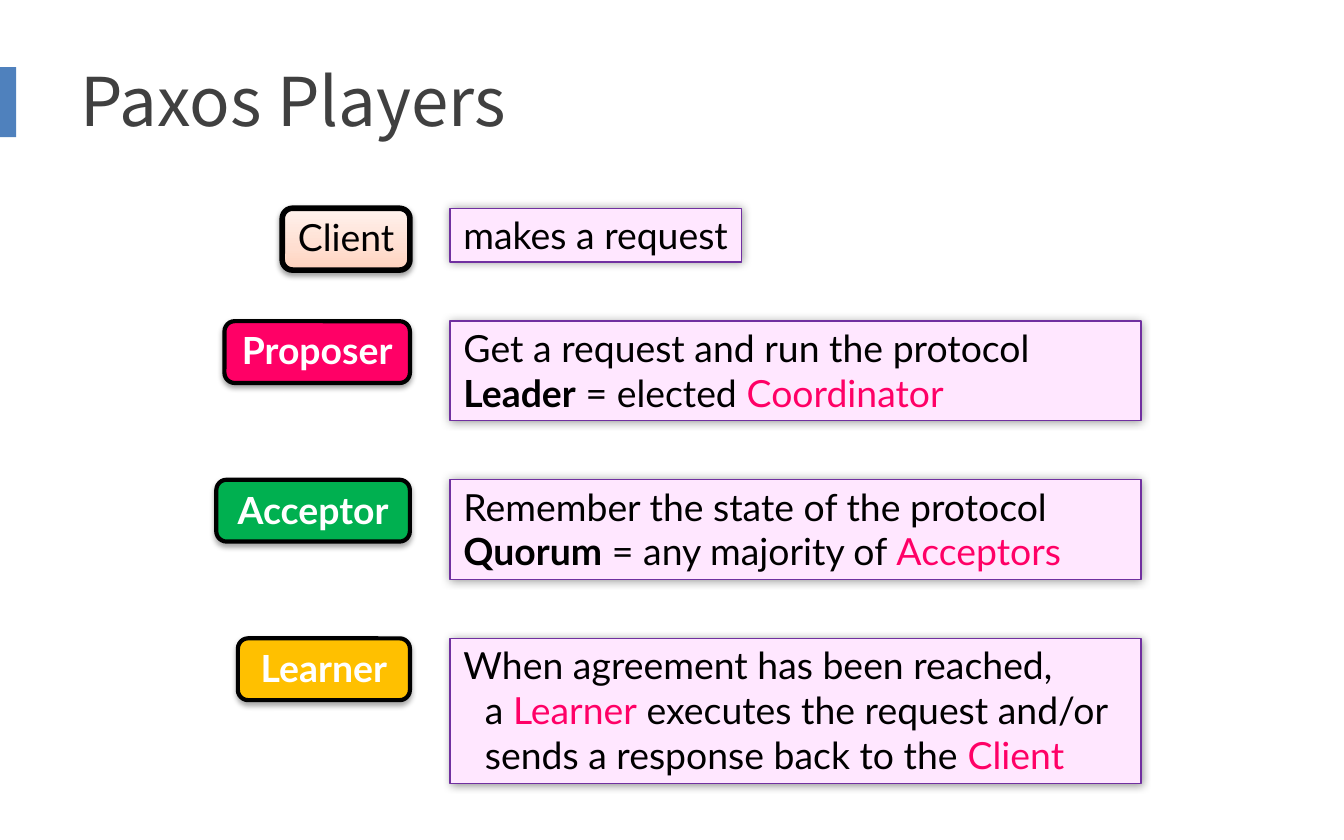
import pptx
import pptx.dml.color
import pptx.enum.shapes
import pptx.enum.text
import pptx.oxml
import pptx.oxml.ns
import pptx.util
from dataclasses import dataclass

PX = 9144
SLIDE = (1000, 625)
ACCENT_BAR = (0, 50, 12, 52)
TITLE_AREA = (50, 25, 900, 98)
ROLE_RIGHT, ROLE_HEIGHT = 305, 46
DUTY_LEFT, DUTY_INDENT = 335, 16


@dataclass(frozen=True)
class Theme:
    title_font: str = "Noto Sans CJK SC"
    body_font: str = "Lato"
    title_size: int = 36
    body_size: int = 20
    title: str = "404040"
    bar: str = "4F81BD"
    ink: str = "000000"
    white: str = "FFFFFF"
    pink: str = "FF0066"
    green: str = "00B050"
    amber: str = "FFC000"
    peach: tuple = ((0, "FFD2BD"), (35, "FFDED0"), (100, "FFF2ED"))
    duty_fill: str = "FFE7FF"
    duty_line: str = "7030A0"


THEME = Theme()
TITLE = "Paxos Players"
DUTY_SHADOW = dict(alpha=40, blur=5, distance=0, angle=0)
SOFT_SHADOW = dict(alpha=38, blur=3.1, distance=1.6, angle=90)
LOW_SHADOW = dict(alpha=35, blur=3.1, distance=1.8, angle=90)
COMPACT = dict(insets=(0, 3, 0, 0), spacing=0.8, shadow=SOFT_SHADOW)
REGULAR = dict(insets=(0, 3, 0, 5), spacing=None, shadow=LOW_SHADOW)

PLAYERS = [
    dict(name="Client", top=155, width=95, fill=THEME.peach, color=THEME.ink,
         bold=False, border=3, style=dict(COMPACT, insets=(8, 3, 8, 0)), duty_size=(217, 40),
         duty=[[("makes a request", "plain")]]),
    dict(name="Proposer", top=239, width=138, fill=THEME.pink, color=THEME.white,
         bold=True, border=2.25, style=COMPACT, duty_size=(514, 74),
         duty=[[("Get a request and run the protocol", "plain")],
               [("Leader", "bold"), (" = elected ", "plain"), ("Coordinator", "pink")]]),
    dict(name="Acceptor", top=357, width=144, fill=THEME.green, color=THEME.white,
         bold=True, border=2.25, style=REGULAR, duty_size=(514, 74),
         duty=[[("Remember the state of the protocol", "plain")],
               [("Quorum", "bold"), (" = any majority of ", "plain"), ("Acceptors", "pink")]]),
    dict(name="Learner", top=475, width=128, fill=THEME.amber, color=THEME.white,
         bold=True, border=2.25, style=REGULAR, duty_size=(514, 108),
         duty=[[("When agreement has been reached,", "plain"), ("", "break"),
                ("a ", "plain"), ("Learner", "pink"),
                (" executes the request and/or sends a response back to the ", "plain"),
                ("Client", "pink")]]),
]


def rgb(value):
    return pptx.dml.color.RGBColor.from_string(value)


def scaled(lengths):
    return [length * PX for length in lengths]


def set_font(font, name, size, color, bold=False):
    font.name, font.size, font.bold = name, pptx.util.Pt(size), bold
    font.color.rgb = rgb(color)


def paint(shape, fill):
    if isinstance(fill, str):
        shape.fill.solid()
        shape.fill.fore_color.rgb = rgb(fill)
        return
    shape.fill.gradient()
    shape.fill.gradient_angle = 90
    stops = shape.element.spPr.find(".//" + pptx.oxml.ns.qn("a:gsLst"))
    for stop in list(stops):
        stops.remove(stop)
    for position, color in fill:
        stops.append(pptx.oxml.parse_xml(
            f'<a:gs {pptx.oxml.ns.nsdecls("a")} pos="{position * 1000}">'
            f'<a:srgbClr val="{color}"/></a:gs>'))


def cast_shadow(shape, alpha, blur, distance, angle):
    effects = shape.element.spPr.find(pptx.oxml.ns.qn("a:effectLst"))
    effects.append(pptx.oxml.parse_xml(
        f'<a:outerShdw {pptx.oxml.ns.nsdecls("a")} blurRad="{pptx.util.Pt(blur)}" '
        f'dist="{pptx.util.Pt(distance)}" dir="{angle * 60000}" algn="ctr" rotWithShape="0">'
        f'<a:srgbClr val="{THEME.ink}"><a:alpha val="{alpha * 1000}"/></a:srgbClr>'
        f'</a:outerShdw>'))


def add_box(page, kind, area, fill, line=None, width=0, shadow=None):
    box = page.shapes.add_shape(kind, *scaled(area))
    box.shadow.inherit = False
    paint(box, fill)
    if line:
        box.line.color.rgb = rgb(line)
        box.line.width = pptx.util.Pt(width)
    else:
        box.line.fill.background()
    if shadow:
        cast_shadow(box, **shadow)
    return box


def set_frame(frame, insets, anchor, wrap):
    (frame.margin_left, frame.margin_top,
     frame.margin_right, frame.margin_bottom) = scaled(insets)
    frame.vertical_anchor, frame.word_wrap = anchor, wrap


def add_role(page, player):
    style = player["style"]
    area = (ROLE_RIGHT - player["width"], player["top"], player["width"], ROLE_HEIGHT)
    box = add_box(page, pptx.enum.shapes.MSO_SHAPE.ROUNDED_RECTANGLE, area,
                  player["fill"], THEME.ink, player["border"], style["shadow"])
    set_frame(box.text_frame, style["insets"], pptx.enum.text.MSO_ANCHOR.MIDDLE, False)
    para = box.text_frame.paragraphs[0]
    para.text = player["name"]
    para.alignment = pptx.enum.text.PP_ALIGN.CENTER
    para.line_spacing = style["spacing"]
    set_font(para.font, THEME.body_font, THEME.body_size, player["color"], player["bold"])


def add_duty(page, player):
    area = (DUTY_LEFT, player["top"], *player["duty_size"])
    box = add_box(page, pptx.enum.shapes.MSO_SHAPE.RECTANGLE, area,
                  THEME.duty_fill, THEME.duty_line, 0.75, DUTY_SHADOW)
    frame = box.text_frame
    set_frame(frame, (10, 3, 0, 3), pptx.enum.text.MSO_ANCHOR.TOP, True)
    frame.auto_size = pptx.enum.text.MSO_AUTO_SIZE.SHAPE_TO_FIT_TEXT
    for index, spans in enumerate(player["duty"]):
        para = frame.add_paragraph() if index else frame.paragraphs[0]
        para.alignment = pptx.enum.text.PP_ALIGN.LEFT
        properties = para._p.get_or_add_pPr()
        properties.set("marL", str(DUTY_INDENT * PX))
        properties.set("indent", str(-DUTY_INDENT * PX))
        set_font(para.font, THEME.body_font, THEME.body_size, THEME.ink)
        for text, look in spans:
            if look == "break":
                para.add_line_break()
                continue
            span = para.add_run()
            span.text = text
            set_font(span.font, THEME.body_font, THEME.body_size,
                     THEME.pink if look == "pink" else THEME.ink, look == "bold")


def add_title(page):
    title = page.shapes.title
    title.left, title.top, title.width, title.height = scaled(TITLE_AREA)
    title.text_frame.text = TITLE
    title.text_frame.vertical_anchor = pptx.enum.text.MSO_ANCHOR.MIDDLE
    para = title.text_frame.paragraphs[0]
    para.alignment = pptx.enum.text.PP_ALIGN.LEFT
    set_font(para.font, THEME.title_font, THEME.title_size, THEME.title)


def main():
    deck = pptx.Presentation()
    deck.slide_width, deck.slide_height = scaled(SLIDE)
    page = deck.slides.add_slide(deck.slide_layouts.get_by_name("Title Only"))
    add_box(page, pptx.enum.shapes.MSO_SHAPE.RECTANGLE, ACCENT_BAR, THEME.bar)
    add_title(page)
    for player in PLAYERS:
        add_duty(page, player)
        add_role(page, player)
    deck.save("out.pptx")


if __name__ == "__main__":
    main()
